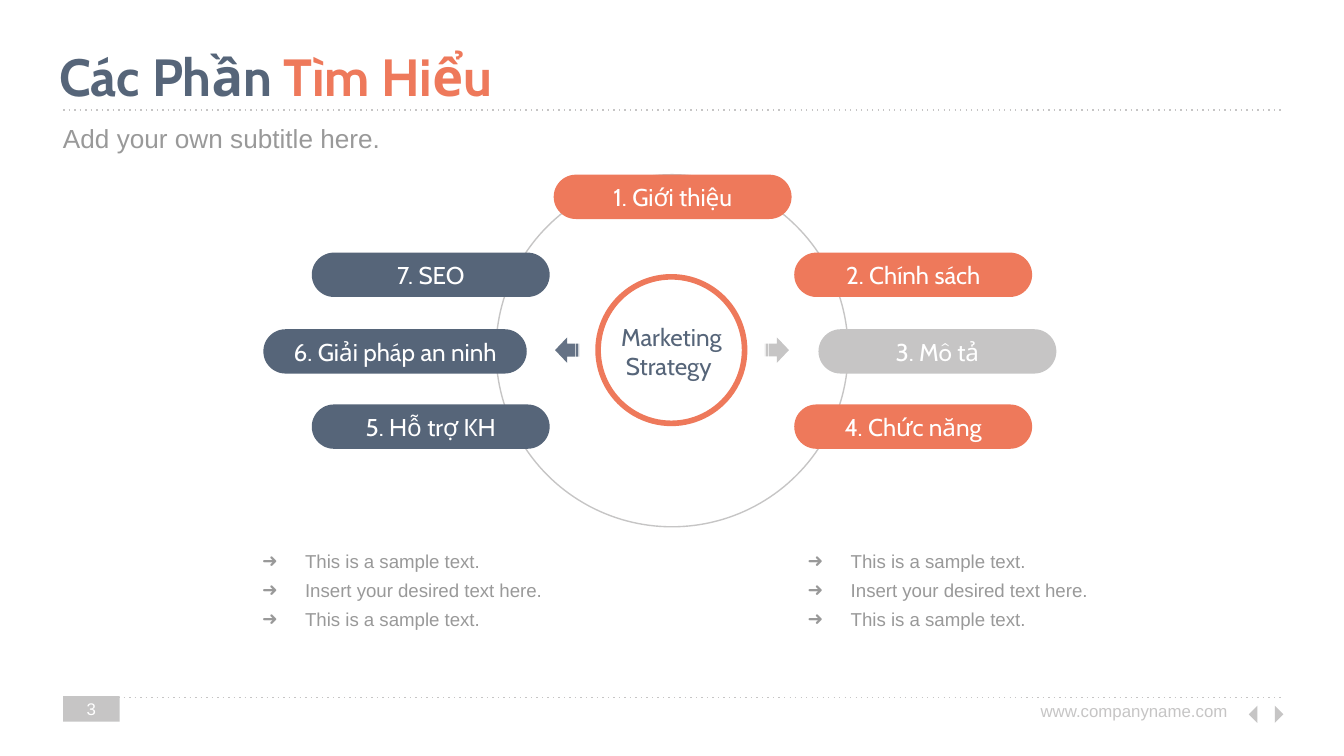
from dataclasses import dataclass

from lxml.etree import SubElement
from pptx import Presentation
from pptx.dml.color import RGBColor as Rgb
from pptx.enum.dml import MSO_LINE as Dash
from pptx.enum.shapes import MSO_CONNECTOR as Link, MSO_SHAPE as Kind
from pptx.enum.text import MSO_ANCHOR as Anchor, MSO_AUTO_SIZE as Fit, PP_ALIGN as Align
from pptx.oxml.ns import qn
from pptx.util import Inches, Pt


@dataclass(frozen=True)
class Theme:
    slate: str = "566579"
    coral: str = "EE795B"
    light: str = "C6C5C5"
    grey: str = "999999"
    white: str = "FFFFFF"
    head: str = "Cabin"
    text: str = "Arial"
    title: int = 28
    sub: int = 14
    label: int = 13
    item: int = 10
    small: int = 9


theme = Theme()


def add_form(kind, box, fill=None, line=None, width=0.75, turn=0):
    """Add a shadowless preset shape; without a colour, fill or line is off."""
    form = slide.shapes.add_shape(kind, *map(Inches, box))
    form.shadow.inherit = False
    form.rotation = turn
    if fill:
        form.fill.solid()
        form.fill.fore_color.rgb = Rgb.from_string(fill)
    else:
        form.fill.background()
    if line:
        form.line.color.rgb = Rgb.from_string(line)
        form.line.width = Pt(width)
    else:
        form.line.fill.background()
    return form


def write(shape, lines, face, size, align=Align.LEFT, anchor=Anchor.MIDDLE, bold=False):
    """Fill a shape with lines, each a list of (text, colour) runs."""
    frame = shape.text_frame
    frame.word_wrap = True
    frame.auto_size = Fit.NONE
    frame.vertical_anchor = anchor
    frame.margin_left = frame.margin_right = Inches(0.1)
    frame.margin_top = frame.margin_bottom = Inches(0.1)
    for i, runs in enumerate(lines):
        para = frame.add_paragraph() if i else frame.paragraphs[0]
        para.alignment = align
        para.space_before = Pt(0)
        for text, tint in runs:
            run = para.add_run()
            run.text = text
            run.font.name = face
            run.font.size = Pt(size)
            run.font.bold = bold
            run.font.color.rgb = Rgb.from_string(tint)


deck = Presentation()
deck.slide_width = Inches(10)
deck.slide_height = Inches(10) * 9 // 16
slide = deck.slides.add_slide(deck.slide_layouts[3])
title, *lists = slide.placeholders

# Rules and footer
for y in (5.19, 0.82):
    rule = slide.shapes.add_connector(
        Link.STRAIGHT, Inches(0.47), Inches(y), Inches(9.53), Inches(y))
    rule.line.color.rgb = Rgb.from_string(theme.light)
    rule.line.width = Pt(0.75)
    rule.line.dash_style = Dash.ROUND_DOT
    props = rule._element.spPr
    props.find(".//" + qn("a:prstDash")).set("val", "dot")
    SubElement(props, qn("a:effectLst"))

for x, turn in ((9.31, 45), (9.44, 225)):
    add_form(Kind.RIGHT_TRIANGLE, (x, 5.27, 0.09, 0.09), theme.light, turn=turn)

page = add_form(Kind.RECTANGLE, (0.47, 5.18, 0.42, 0.19), theme.light)
write(page, [[("3", theme.white)]], theme.text, theme.small, Align.CENTER)

site = slide.shapes.add_textbox(*map(Inches, (7.55, 5.12, 1.68, 0.19)))
write(site, [[("www.companyname.com", theme.light)]], theme.text, theme.small,
      Align.RIGHT, Anchor.TOP)

# Title and subtitle
title.left, title.top, title.width, title.height = map(Inches, (0.34, 0.23, 9.32, 0.51))
write(title, [[("Các Phần ", theme.slate), ("Tìm Hiểu", theme.coral)]],
      theme.head, theme.title, anchor=Anchor.TOP, bold=True)

sub = slide.shapes.add_textbox(*map(Inches, (0.37, 0.85, 9.32, 0.35)))
write(sub, [[("Add your own subtitle here.", theme.grey)]], theme.text, theme.sub)

# Lists with arrow bullets
items = ["This is a sample text.", "Insert your desired text here.",
         "This is a sample text."]
for body, x in zip(lists, (1.67, 5.73)):
    body.left, body.top, body.width, body.height = map(Inches, (x, 3.94, 2.61, 0.83))
    write(body, [[(item, theme.grey)] for item in items], theme.text, theme.item,
          anchor=Anchor.TOP)
    for para in body.text_frame.paragraphs:
        para.line_spacing = 1.3
        props = para._p.get_or_add_pPr()
        props.set("marL", str(Inches(0.5)))
        props.set("indent", str(Inches(-0.32)))
        tint = SubElement(props, qn("a:buClr"))
        SubElement(tint, qn("a:srgbClr"), val=theme.grey)
        SubElement(props, qn("a:buChar"), char="➜")

# Wheel of topics
add_form(Kind.OVAL, (3.69, 1.3, 2.62, 2.62), line=theme.light)
add_form(Kind.OVAL, (4.45, 2.06, 1.09, 1.09), line=theme.coral, width=3)

topics = [
    ("1. Giới thiệu", 4.12, 1.3, 1.77, theme.coral),
    ("2. Chính sách", 5.91, 1.88, 1.77, theme.coral),
    ("3. Mô tả", 6.09, 2.45, 1.77, theme.light),
    ("4. Chức năng", 5.91, 3.01, 1.77, theme.coral),
    ("5. Hỗ trợ KH", 2.32, 3.01, 1.77, theme.slate),
    ("6. Giải pháp an ninh", 1.96, 2.45, 1.96, theme.slate),
    ("7. SEO", 2.32, 1.88, 1.77, theme.slate),
]
for name, x, y, wide, fill in topics:
    pill = add_form(Kind.ROUNDED_RECTANGLE, (x, y, wide, 0.33), fill)
    pill.adjustments[0] = 0.5
    write(pill, [[(name, theme.white)]], theme.head, theme.label, Align.CENTER)

hub = slide.shapes.add_textbox(*map(Inches, (4.45, 2.3, 1.09, 0.44)))
write(hub, [[("Marketing Strategy ", theme.slate)]], theme.head, theme.label,
      Align.CENTER, Anchor.TOP)

for x, fill, turn, alpha in ((4.13, theme.slate, 180, 91), (5.69, theme.light, 0, 100)):
    arrow = add_form(Kind.STRIPED_RIGHT_ARROW, (x, 2.51, 0.18, 0.19), fill, turn=turn)
    if alpha < 100:
        tint = arrow._element.spPr.find(qn("a:solidFill") + "/" + qn("a:srgbClr"))
        SubElement(tint, qn("a:alpha"), val=str(alpha * 1000))

deck.save("out.pptx")
